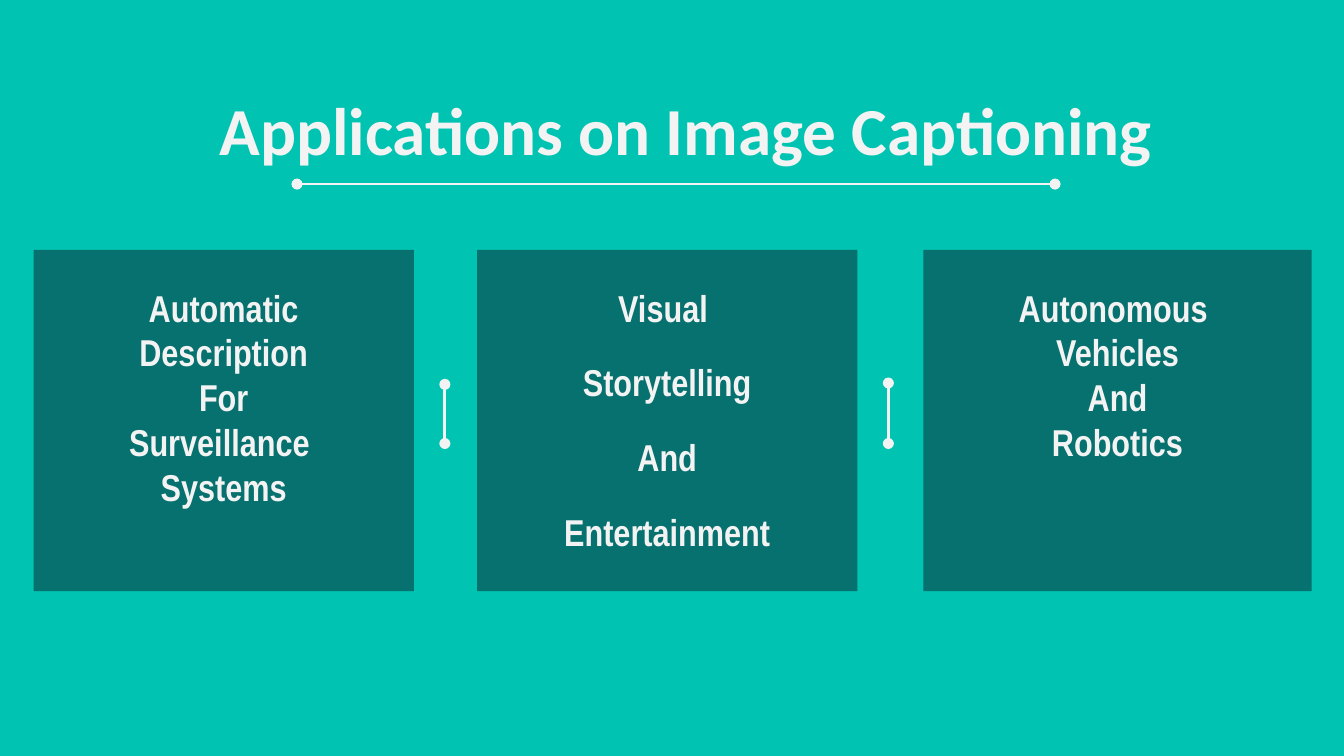
from pptx import Presentation
from pptx.dml.color import RGBColor
from pptx.enum.shapes import MSO_CONNECTOR as Conn, MSO_SHAPE as Shape
from pptx.enum.text import MSO_ANCHOR as Anchor, PP_ALIGN as Align
from pptx.oxml.ns import qn
from pptx.util import Inches, Pt
from lxml.etree import SubElement

TITLE = "Applications on Image Captioning"
TEAL, DARK, LIGHT = "00C3B1", "0C343D", "F3F3F3"
OPACITY = 57  # percent

# left, width, space after each paragraph (pt), paragraphs
CARDS = [
    (0.25, 2.83, 0, ["Automatic Description", "For", "Surveillance ", "Systems"]),
    (3.55, 2.83, 16, ["Visual ", "Storytelling", "And", "Entertainment"]),
    (6.87, 2.89, 0, ["Autonomous ", "Vehicles", "And", "Robotics"]),
]
CARD_TOP, CARD_HIGH = 1.86, 2.54

# x1, y1, x2, y2
LINES = [
    (2.21, 1.37, 7.85, 1.37),
    (3.31, 2.86, 3.31, 3.3),
    (6.61, 3.3, 6.61, 2.85),
]


def paint(color, value):
    color.rgb = RGBColor.from_string(value)


def write(frame, texts, font, size, inset, after=0):
    """Fill a text frame with centred bold paragraphs."""
    frame.word_wrap = True
    frame.vertical_anchor = Anchor.TOP
    frame.margin_left = frame.margin_right = frame.margin_top = Inches(inset)
    frame.margin_bottom = Inches(0.1)
    for i, text in enumerate(texts):
        para = frame.add_paragraph() if i else frame.paragraphs[0]
        para.text = text
        para.alignment = Align.CENTER
        para.space_after = Pt(after)
        para.font.name = font
        para.font.size = Pt(size)
        para.font.bold = True
        paint(para.font.color, LIGHT)


def add_line(shapes, ends):
    line = shapes.add_connector(Conn.STRAIGHT, *map(Inches, ends))
    line.line.width = Pt(1.5)
    paint(line.line.color, LIGHT)
    props = line.line._get_or_add_ln()
    for tag in ("a:headEnd", "a:tailEnd"):
        SubElement(props, qn(tag), type="oval")
    SubElement(line._element.spPr, qn("a:effectLst"))


def add_card(shapes, left, width, after, texts):
    box = map(Inches, (left, CARD_TOP, width, CARD_HIGH))
    card = shapes.add_shape(Shape.RECTANGLE, *box)
    card.shadow.inherit = False
    card.line.fill.background()
    card.fill.solid()
    paint(card.fill.fore_color, DARK)
    tint = card._element.spPr.find(qn("a:solidFill"))[0]
    SubElement(tint, qn("a:alpha"), val=str(OPACITY * 1000))
    write(card.text_frame, texts, "Arial Narrow", 20, 0.26, after)


def main():
    deck = Presentation()
    deck.slide_width = Inches(10)
    deck.slide_height = deck.slide_width * 9 // 16
    blank = deck.slide_layouts[6]
    slide = deck.slides.add_slide(blank)
    slide.background.fill.solid()
    paint(slide.background.fill.fore_color, TEAL)

    box = map(Inches, (0.68, 0.56, 8.85, 0.63))
    title = slide.shapes.add_textbox(*box)
    write(title.text_frame, [TITLE], "Calibri", 36, 0.1)
    for ends in LINES:
        add_line(slide.shapes, ends)
    for card in CARDS:
        add_card(slide.shapes, *card)
    deck.save("out.pptx")


if __name__ == "__main__":
    main()
